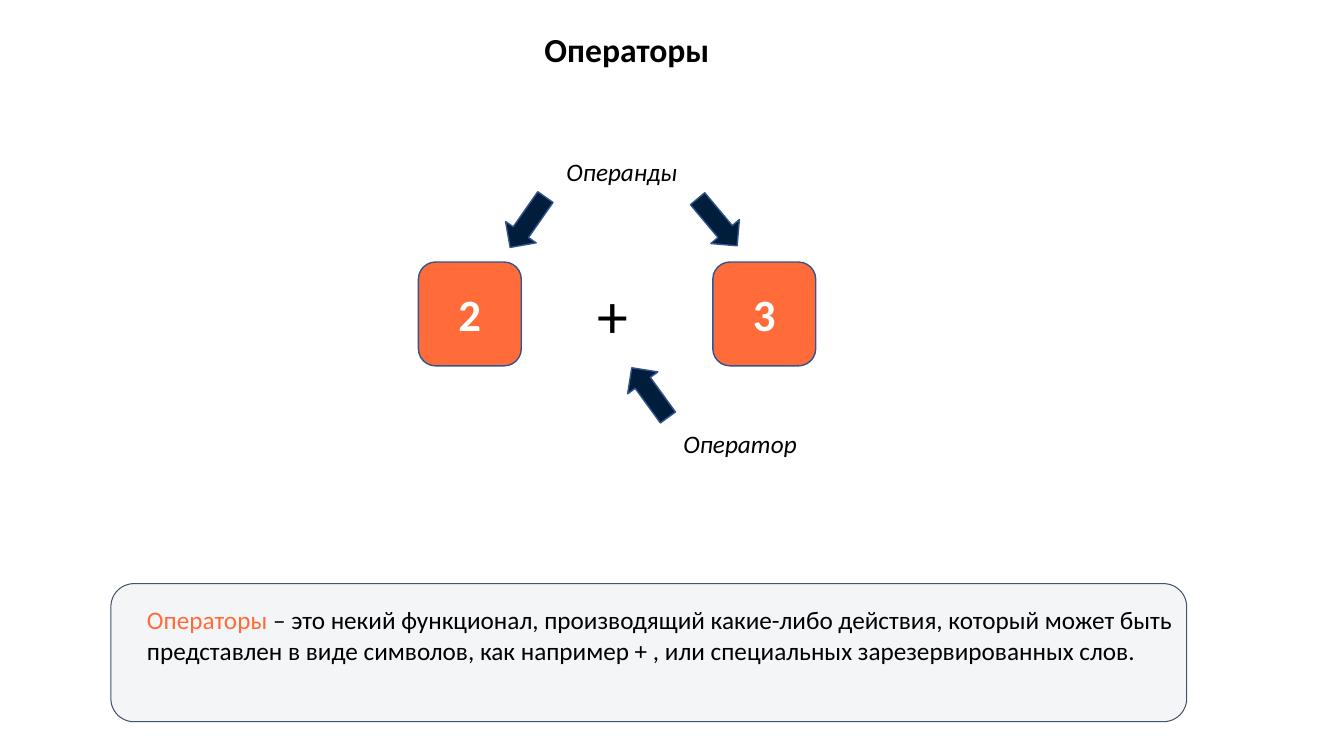
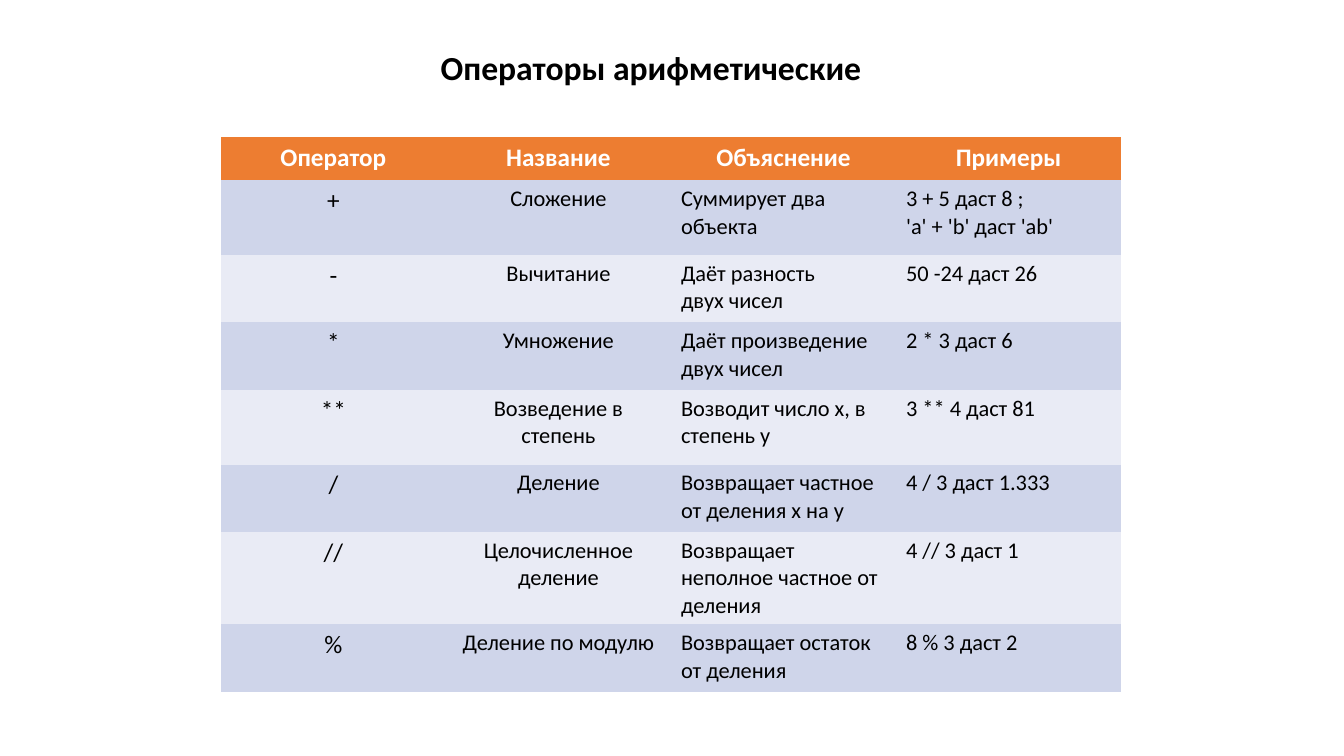
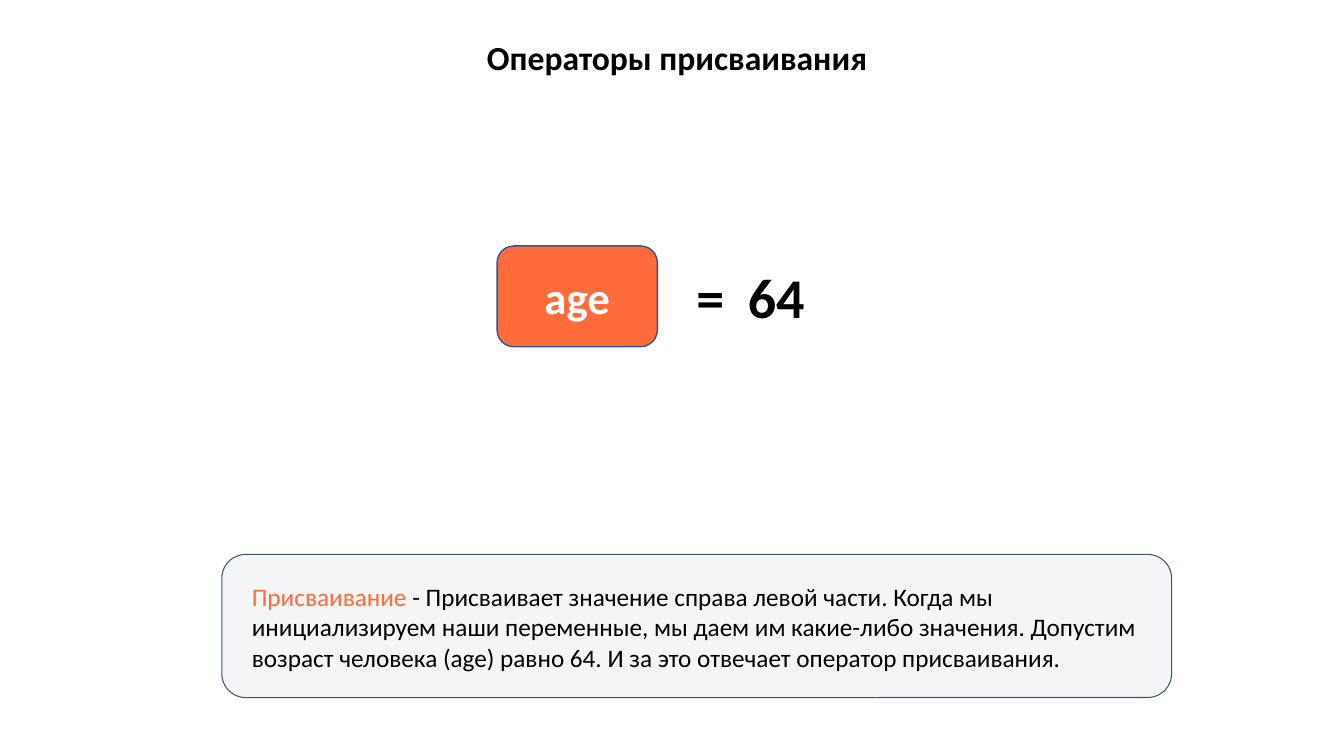
from dataclasses import dataclass

from lxml.etree import SubElement
from pptx import Presentation
from pptx.dml.color import RGBColor
from pptx.enum.shapes import MSO_SHAPE as Preset
from pptx.enum.text import MSO_ANCHOR as Anchor, MSO_AUTO_SIZE as AutoSize, PP_ALIGN as Align
from pptx.oxml.ns import qn
from pptx.util import Inches, Pt


@dataclass(frozen=True)
class Theme:
    font: str = "Calibri"
    black: str = "000000"
    white: str = "FFFFFF"
    accent: str = "FF6C3A"
    arrow: str = "001D3C"
    outline: str = "325491"
    panel: str = "F4F5F7"
    panel_line: str = "44546A"
    header: str = "ED7D31"
    bands: tuple = ("CFD5EA", "E9EBF5")
    title_size: int = 24
    text_size: int = 18
    cell_size: int = 16
    tile_size: int = 32
    value_size: int = 40
    sign_size: int = 44


THEME = Theme()
TITLE_ONLY = 5
PLAIN_TABLE_STYLE = "{2D5ABB26-0587-4C30-8999-92F81FD0307C}"

TABLE_HEADER = ("Оператор", "Название", "Объяснение", "Примеры")
ARITHMETIC = (
    ("+", "Сложение", "Суммирует два\nобъекта", "3 + 5 даст 8 ;\n'a' + 'b' даст 'ab'"),
    ("-", "Вычитание", "Даёт разность\nдвух чисел", "50 -24 даст 26"),
    ("*", "Умножение", "Даёт произведение\nдвух чисел", "2 * 3 даст 6"),
    ("**", "Возведение в степень", "Возводит число x, в степень y", "3 ** 4 даст 81"),
    ("/", "Деление", "Возвращает частное от деления x на y", "4 / 3 даст 1.333"),
    ("//", "Целочисленное\nделение", "Возвращает неполное частное от деления", "4 // 3 даст 1"),
    ("%", "Деление по модулю", "Возвращает остаток от деления", "8 % 3 даст 2"),
)
TALL_ROWS = ("+", "**")


def inches(*lengths):
    return [Inches(length) for length in lengths]


def set_font(font, size, color=THEME.black, **formats):
    values = {"name": THEME.font, "size": Pt(size), "bold": False, "italic": False, **formats}
    for name, value in values.items():
        setattr(font, name, value)
    font.color.rgb = RGBColor.from_string(color)


def write(frame, text, size, color=THEME.black, align=Align.LEFT, **formats):
    """Fill a text frame, one paragraph a line, in one format."""
    frame.text = text
    for paragraph in frame.paragraphs:
        paragraph.alignment = align
        for run in paragraph.runs:
            set_font(run.font, size, color, **formats)


def add_titled_slide(presentation, title, box):
    slide = presentation.slides.add_slide(presentation.slide_layouts[TITLE_ONLY])
    shape = slide.shapes.title
    shape.left, shape.top, shape.width, shape.height = inches(*box)
    frame = shape.text_frame
    frame.auto_size = AutoSize.NONE
    frame.vertical_anchor = Anchor.TOP
    write(frame, title, THEME.title_size, bold=True)
    return slide


def add_text(slide, box, text, size=THEME.text_size, **formats):
    frame = slide.shapes.add_textbox(*inches(*box)).text_frame
    frame.word_wrap = True
    write(frame, text, size, **formats)
    return frame


def add_figure(slide, preset, box, fill, line, line_width=1):
    shape = slide.shapes.add_shape(preset, *inches(*box))
    shape.shadow.inherit = False
    shape.fill.solid()
    shape.fill.fore_color.rgb = RGBColor.from_string(fill)
    shape.line.color.rgb = RGBColor.from_string(line)
    shape.line.width = Pt(line_width)
    return shape


def add_tile(slide, box, text):
    tile = add_figure(slide, Preset.ROUNDED_RECTANGLE, box, THEME.accent, THEME.outline)
    tile.text_frame.vertical_anchor = Anchor.MIDDLE
    write(tile.text_frame, text, THEME.tile_size, THEME.white, Align.CENTER, bold=True)


def add_arrow(slide, left, top, rotation):
    box = (left, top, 0.37, 0.61)
    add_figure(slide, Preset.DOWN_ARROW, box, THEME.arrow, THEME.outline).rotation = rotation


def add_definition(slide, panel_box, text_box, term, meaning):
    """Panel whose text opens with a highlighted term."""
    add_figure(slide, Preset.ROUNDED_RECTANGLE, panel_box, THEME.panel, THEME.panel_line, 0.75)
    frame = add_text(slide, text_box, term, color=THEME.accent)
    run = frame.paragraphs[0].add_run()
    run.text = meaning
    set_font(run.font, THEME.text_size)


def add_tab_stop(paragraph, position):
    tabs = SubElement(paragraph._p.get_or_add_pPr(), qn("a:tabLst"))
    SubElement(tabs, qn("a:tab"), pos=str(Inches(position)), algn="l")


def fill_cell(cell, fill, *text_format, **formats):
    cell.fill.solid()
    cell.fill.fore_color.rgb = RGBColor.from_string(fill)
    write(cell.text_frame, *text_format, **formats)


def add_operator_table(slide, box):
    rows = len(ARITHMETIC) + 1
    frame = slide.shapes.add_table(rows, len(TABLE_HEADER), *inches(*box))
    table = frame.table
    table._tbl.tblPr.find(qn("a:tableStyleId")).text = PLAIN_TABLE_STYLE
    table.rows[0].height = Inches(0.43)
    for cell, text in zip(table.rows[0].cells, TABLE_HEADER):
        fill_cell(cell, THEME.header, text, THEME.text_size, THEME.white, Align.CENTER, bold=True)
    for index, texts in enumerate(ARITHMETIC):
        row = table.rows[index + 1]
        row.height = Inches(0.74 if texts[0] in TALL_ROWS else 0.67)
        for column, (cell, text) in enumerate(zip(row.cells, texts)):
            size = THEME.text_size if column == 0 else THEME.cell_size
            align = Align.CENTER if column < 2 else Align.LEFT
            fill_cell(cell, THEME.bands[index % 2], text, size, align=align)


def build_operators(presentation):
    slide = add_titled_slide(presentation, "Операторы", (5.3, 0.24, 2.59, 0.5))
    add_definition(
        slide, (1.1, 5.79, 10.67, 1.37), (1.36, 5.95, 10.37, 1.01), "Операторы ",
        "– это некий функционал, производящий какие-либо действия, который может быть "
        "представлен в виде символов, как например + , или специальных зарезервированных слов.")
    for left, operand in ((4.15, "2"), (7.07, "3")):
        add_tile(slide, (left, 2.6, 1.02, 1.03), operand)
    add_text(slide, (5.83, 2.7, 0.6, 0.84), "+", THEME.sign_size)
    for arrow in ((6.26, 3.59, 144), (5.05, 1.9, 35), (6.93, 1.9, 320)):
        add_arrow(slide, *arrow)
    for left, top, label in ((6.68, 4.2, "Оператор"), (5.52, 1.5, "Операнды")):
        add_text(slide, (left, top, 1.36, 0.4), label, italic=True)


def build_arithmetic(presentation):
    slide = add_titled_slide(presentation, "Операторы арифметические", (4.27, 0.42, 4.38, 0.5))
    add_operator_table(slide, (2.19, 1.36, 8.93, 5.27))


def build_assignment(presentation):
    slide = add_titled_slide(presentation, "Операторы присваивания", (4.73, 0.32, 4.15, 0.5))
    add_definition(
        slide, (2.2, 5.5, 9.42, 1.42), (2.4, 5.72, 9.26, 1.31), "Присваивание ",
        "- Присваивает значение справа левой части. Когда мы инициализируем наши переменные, "
        "мы даем им какие-либо значения. Допустим возраст человека (age) равно 64. "
        "И за это отвечает оператор присваивания.")
    add_tile(slide, (4.93, 2.44, 1.59, 1), "age")
    value = add_text(slide, (6.81, 2.56, 1.46, 0.77), "=\t64", THEME.value_size, bold=True)
    add_tab_stop(value.paragraphs[0], 0.51)


def main():
    presentation = Presentation()
    presentation.slide_width, presentation.slide_height = inches(13.33, 7.5)
    for build in (build_operators, build_arithmetic, build_assignment):
        build(presentation)
    presentation.save("out.pptx")


if __name__ == "__main__":
    main()
